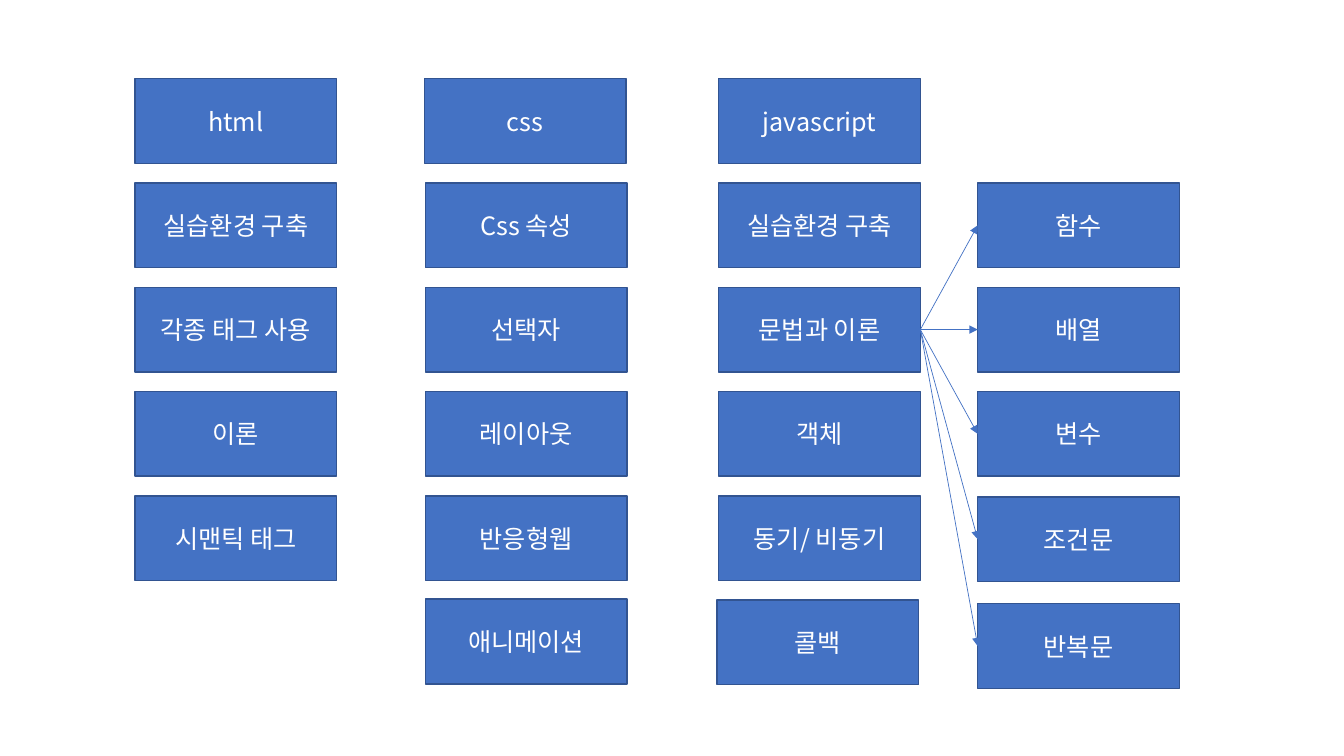
from dataclasses import dataclass

from lxml import etree
from pptx import Presentation
from pptx.dml.color import RGBColor
from pptx.enum.shapes import MSO_CONNECTOR, MSO_SHAPE
from pptx.enum.text import MSO_ANCHOR, PP_ALIGN
from pptx.oxml.ns import qn
from pptx.shapes.autoshape import Shape
from pptx.util import Pt

BLUE = RGBColor(0x44, 0x72, 0xC4)
DARK_BLUE = RGBColor(0x32, 0x54, 0x91)
WHITE = RGBColor(0xFF, 0xFF, 0xFF)
FONT = "Noto Sans CJK KR"

BOX_WIDTH, BOX_HEIGHT = 144, 60.5
FIRST_TOP, ROW_PITCH = 56.2, 74.5
RIGHT_SITE, LEFT_SITE = 3, 1


@dataclass(frozen=True)
class Column:
    left: float
    topics: tuple[str, ...]
    first_row: int = 0


HTML = Column(96.5, ("html", "실습환경 구축", "각종 태그 사용", "이론", "시맨틱 태그"))
CSS = Column(303.8, ("css", "Css 속성", "선택자", "레이아웃", "반응형웹", "애니메이션"))
JAVASCRIPT = Column(513.4, ("javascript", "실습환경 구축", "문법과 이론", "객체",
                            "동기/ 비동기", "콜백"))
SYNTAX = Column(698.4, ("함수", "배열", "변수", "조건문", "반복문"), first_row=1)

# Boxes that sit slightly off the grid: (right, down)
NUDGES = {"css": (-0.7, 0), "애니메이션": (0, -0.7), "콜백": (-1.2, 0),
          "조건문": (0, 0.8), "반복문": (0, 2.6)}


def add_box(shapes, left: float, top: float, text: str) -> Shape:
    box = shapes.add_shape(MSO_SHAPE.RECTANGLE, Pt(left), Pt(top),
                           Pt(BOX_WIDTH), Pt(BOX_HEIGHT))
    box.shadow.inherit = False
    box.fill.solid()
    box.fill.fore_color.rgb = BLUE
    box.line.color.rgb = DARK_BLUE
    box.line.width = Pt(1)
    frame = box.text_frame
    frame.word_wrap = True
    frame.vertical_anchor = MSO_ANCHOR.MIDDLE
    paragraph = frame.paragraphs[0]
    paragraph.alignment = PP_ALIGN.CENTER
    run = paragraph.add_run()
    run.text = text
    run.font.size = Pt(18)
    run.font.name = FONT
    run.font.color.rgb = WHITE
    etree.SubElement(run.font._element, qn("a:ea"), typeface=FONT)
    return box


def add_column(shapes, column: Column) -> list[Shape]:
    boxes = []
    for row, topic in enumerate(column.topics, column.first_row):
        right, down = NUDGES.get(topic, (0, 0))
        top = FIRST_TOP + row * ROW_PITCH
        boxes.append(add_box(shapes, column.left + right, top + down, topic))
    return boxes


def add_arrow(shapes, source: Shape, target: Shape) -> None:
    arrow = shapes.add_connector(MSO_CONNECTOR.STRAIGHT, 0, 0, 0, 0)
    arrow.begin_connect(source, RIGHT_SITE)
    arrow.end_connect(target, LEFT_SITE)
    arrow.line.color.rgb = BLUE
    arrow.line.width = Pt(0.5)
    etree.SubElement(arrow.line._get_or_add_ln(), qn("a:tailEnd"), type="triangle")
    etree.SubElement(arrow._element.spPr, qn("a:effectLst"))


presentation = Presentation()
presentation.slide_width, presentation.slide_height = Pt(960), Pt(540)
slide = presentation.slides.add_slide(presentation.slide_layouts[6])

# Topic columns
for topic_column in (HTML, CSS):
    add_column(slide.shapes, topic_column)
javascript_boxes = add_column(slide.shapes, JAVASCRIPT)
syntax_boxes = add_column(slide.shapes, SYNTAX)

# Arrows from the syntax topic to its parts
syntax_topic = javascript_boxes[JAVASCRIPT.topics.index("문법과 이론")]
for syntax_box in syntax_boxes:
    add_arrow(slide.shapes, syntax_topic, syntax_box)

presentation.save("out.pptx")
